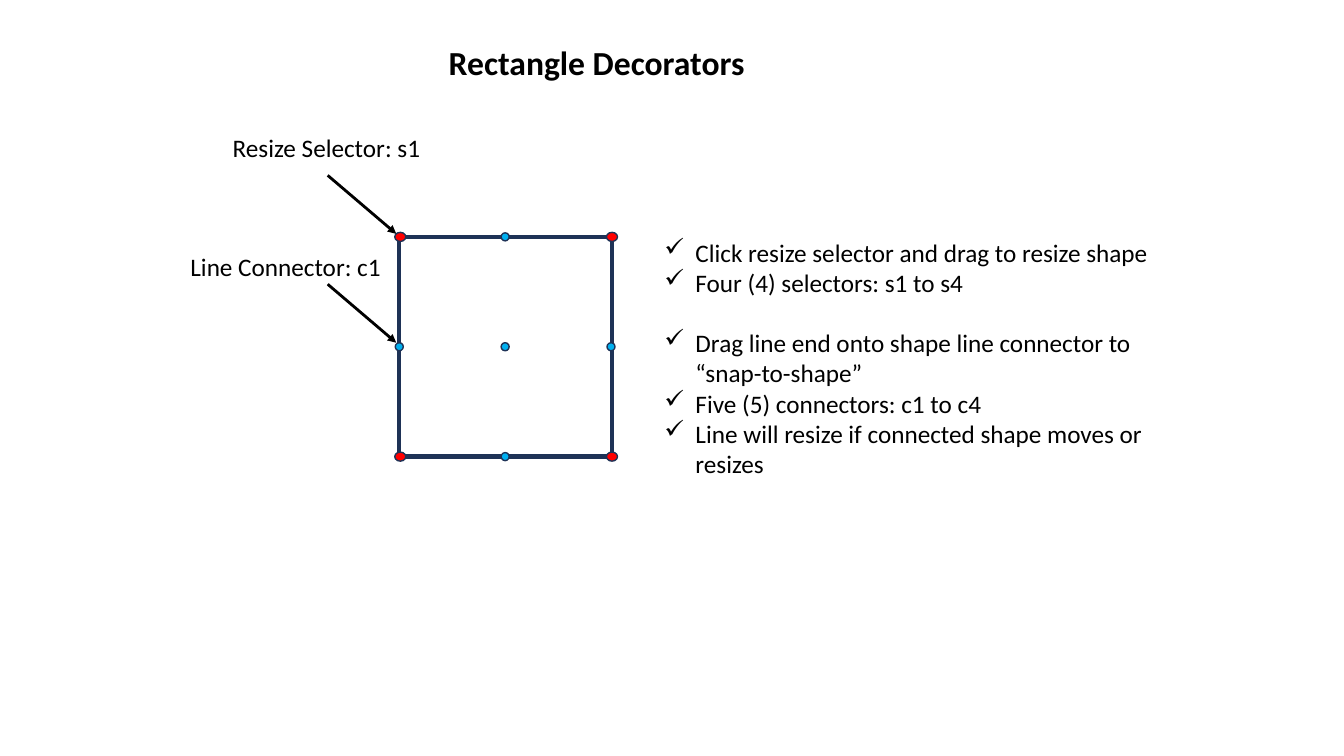
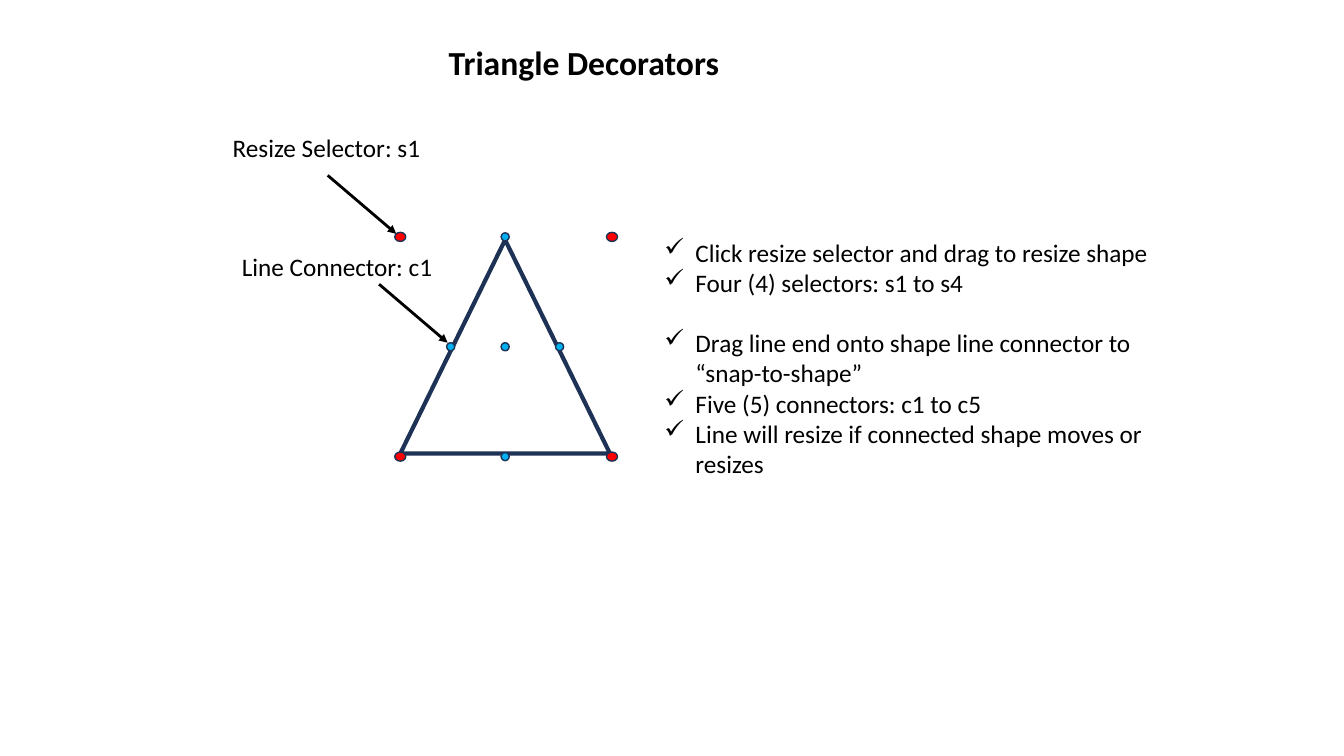
from dataclasses import dataclass
from itertools import product
from typing import Optional

from lxml import etree
from pptx import Presentation
from pptx.dml.color import RGBColor
from pptx.enum import shapes, text
from pptx.oxml import ns
from pptx.shapes.autoshape import Shape
from pptx.slide import Slide
from pptx.text.text import TextFrame
from pptx.util import Inches, Pt

NAVY = RGBColor(0x1E, 0x32, 0x56)
RED = RGBColor(0xFF, 0x00, 0x00)
BLUE = RGBColor(0x00, 0xB0, 0xF0)
BLACK = RGBColor(0x00, 0x00, 0x00)
WHITE = RGBColor(0xFF, 0xFF, 0xFF)
FONT = "Calibri"

CENTER_X, CENTER_Y = 5.01, 3.44
HALF_WIDTH, HALF_HEIGHT = 1.05, 1.09
ARROW_RUN, ARROW_RISE = 0.68, 0.58
HANGING = 0.31


@dataclass(frozen=True)
class Box:
    left: float
    top: float
    width: float
    height: float


@dataclass(frozen=True)
class Dot:
    width: float
    height: float
    fill: RGBColor


@dataclass(frozen=True)
class Figure:
    title: str
    title_width: float
    preset: shapes.MSO_SHAPE
    box: Box
    fill: Optional[RGBColor]
    connector_reach: float
    last_connector: str


SELECTOR = Dot(0.11, 0.09, RED)
CONNECTOR = Dot(0.08, 0.08, BLUE)

FIGURES = [
    Figure("Rectangle Decorators", 3.17, shapes.MSO_SHAPE.RECTANGLE,
           Box(3.96, 2.35, 2.11, 2.18), WHITE, HALF_WIDTH, "c4"),
    Figure("Triangle Decorators", 2.91, shapes.MSO_SHAPE.ISOSCELES_TRIANGLE,
           Box(3.97, 2.38, 2.08, 2.12), None, 0.54, "c5"),
]


def place(shape: Shape, box: Box) -> None:
    shape.left, shape.top = Inches(box.left), Inches(box.top)
    shape.width, shape.height = Inches(box.width), Inches(box.height)


def write(frame: TextFrame, lines: list[str], size: int, bold: bool = False) -> None:
    frame.text = "\n".join(lines)
    frame.vertical_anchor = text.MSO_ANCHOR.TOP
    for para in frame.paragraphs:
        para.alignment = text.PP_ALIGN.LEFT
        para.font.name = FONT
        para.font.size = Pt(size)
        para.font.bold = bold
        para.font.color.rgb = BLACK


def add_text(slide: Slide, box: Box, lines: list[str], wrap: bool = False) -> TextFrame:
    label = slide.shapes.add_textbox(0, 0, 0, 0)
    place(label, box)
    label.text_frame.word_wrap = wrap
    write(label.text_frame, lines, 18)
    return label.text_frame


def add_outlined(slide: Slide, preset: shapes.MSO_SHAPE, box: Box,
                 fill: Optional[RGBColor], weight: float) -> None:
    shape = slide.shapes.add_shape(preset, 0, 0, 0, 0)
    place(shape, box)
    shape.shadow.inherit = False
    if fill is None:
        shape.fill.background()
    else:
        shape.fill.solid()
        shape.fill.fore_color.rgb = fill
    shape.line.color.rgb = NAVY
    shape.line.width = Pt(weight)


def add_dot(slide: Slide, dot: Dot, x: float, y: float) -> None:
    box = Box(x - dot.width / 2, y - dot.height / 2, dot.width, dot.height)
    add_outlined(slide, shapes.MSO_SHAPE.OVAL, box, dot.fill, 1)


def add_arrow(slide: Slide, tip_x: float, tip_y: float) -> None:
    arrow = slide.shapes.add_connector(
        shapes.MSO_CONNECTOR.STRAIGHT,
        Inches(tip_x - ARROW_RUN), Inches(tip_y - ARROW_RISE),
        Inches(tip_x), Inches(tip_y))
    arrow.line.color.rgb = BLACK
    arrow.line.width = Pt(2)
    etree.SubElement(arrow.line._get_or_add_ln(), ns.qn("a:tailEnd"), type="triangle")
    etree.SubElement(arrow._element.spPr, ns.qn("a:effectLst"))


def add_notes_list(slide: Slide, last_connector: str) -> None:
    frame = add_text(slide, Box(6.49, 2.3, 5.06, 2.52), [
        "Click resize selector and drag to resize shape",
        "Four (4) selectors: s1 to s4",
        "Drag line end onto shape line connector to “snap-to-shape”",
        f"Five (5) connectors: c1 to {last_connector}",
        "Line will resize if connected shape moves or resizes",
    ], wrap=True)
    for para in frame.paragraphs:
        properties = para._p.get_or_add_pPr()
        properties.set("marL", str(Inches(HANGING)))
        properties.set("indent", str(-Inches(HANGING)))
        bullet = etree.Element(ns.qn("a:buChar"), char="✓")
        properties.insert_element_before(bullet, "a:tabLst", "a:defRPr", "a:extLst")
    frame.paragraphs[1].space_after = Pt(21.6)


def add_title(slide: Slide, figure: Figure) -> None:
    title = slide.shapes.title
    place(title, Box(4.35, 0.37, figure.title_width, 0.5))
    title.text_frame.word_wrap = False
    title.text_frame.auto_size = text.MSO_AUTO_SIZE.NONE
    write(title.text_frame, [figure.title], 24, bold=True)


def draw_figure(slide: Slide, figure: Figure) -> None:
    add_title(slide, figure)
    add_outlined(slide, figure.preset, figure.box, figure.fill, 3)

    for side, level in product((-1, 1), repeat=2):
        add_dot(slide, SELECTOR, CENTER_X + 0.01 + side * HALF_WIDTH,
                CENTER_Y + level * HALF_HEIGHT)
    reach = figure.connector_reach
    for dx, dy in [(0, -HALF_HEIGHT), (reach, 0), (0, HALF_HEIGHT), (-reach, 0), (0, 0)]:
        add_dot(slide, CONNECTOR, CENTER_X + dx, CENTER_Y + dy)

    add_text(slide, Box(2.21, 1.26, 2.08, 0.4), ["Resize Selector: s1"])
    add_arrow(slide, 3.93, 2.32)
    first_connector = CENTER_X - reach
    add_text(slide, Box(first_connector - 2.17, 2.44, 2.12, 0.4), ["Line Connector: c1"])
    add_arrow(slide, first_connector - 0.03, 3.4)
    add_notes_list(slide, figure.last_connector)


deck = Presentation()
deck.slide_width, deck.slide_height = Inches(13.33), Inches(7.5)
title_only = deck.slide_layouts.get_by_name("Title Only")
for figure in FIGURES:
    draw_figure(deck.slides.add_slide(title_only), figure)
deck.save("out.pptx")
